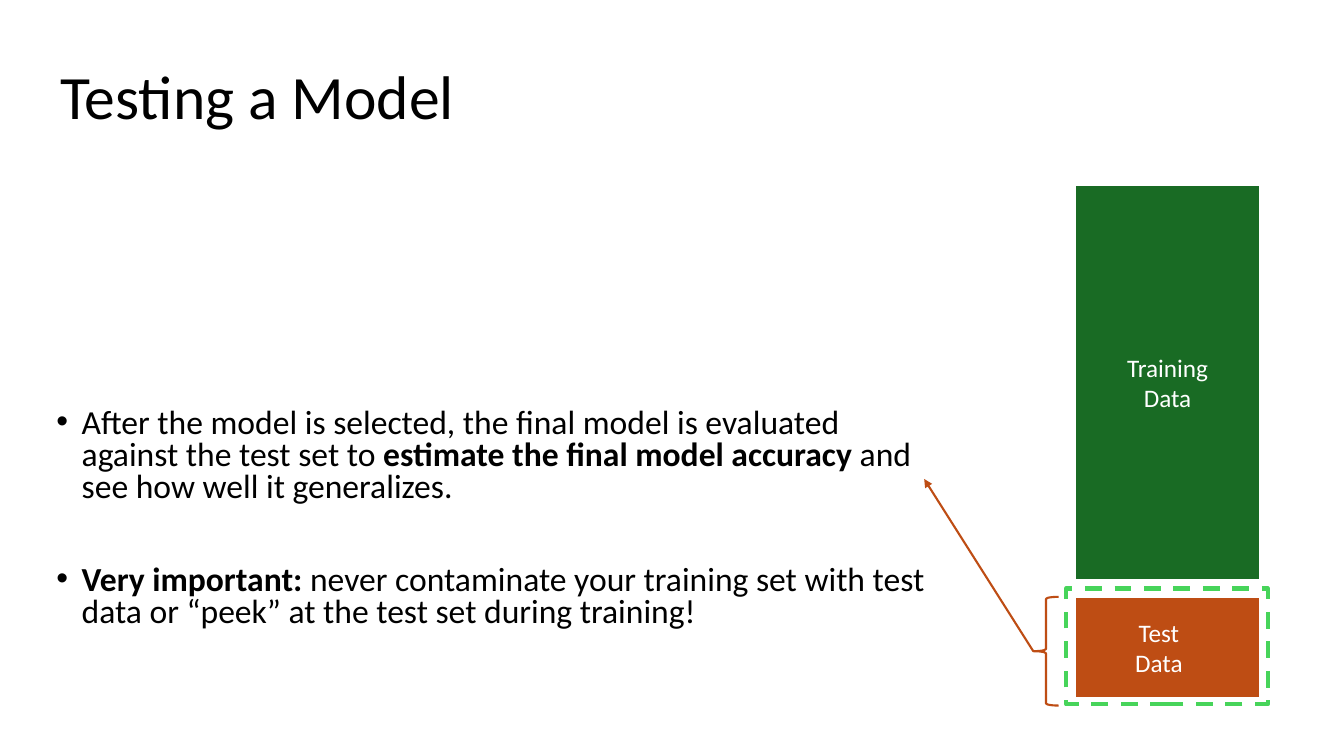
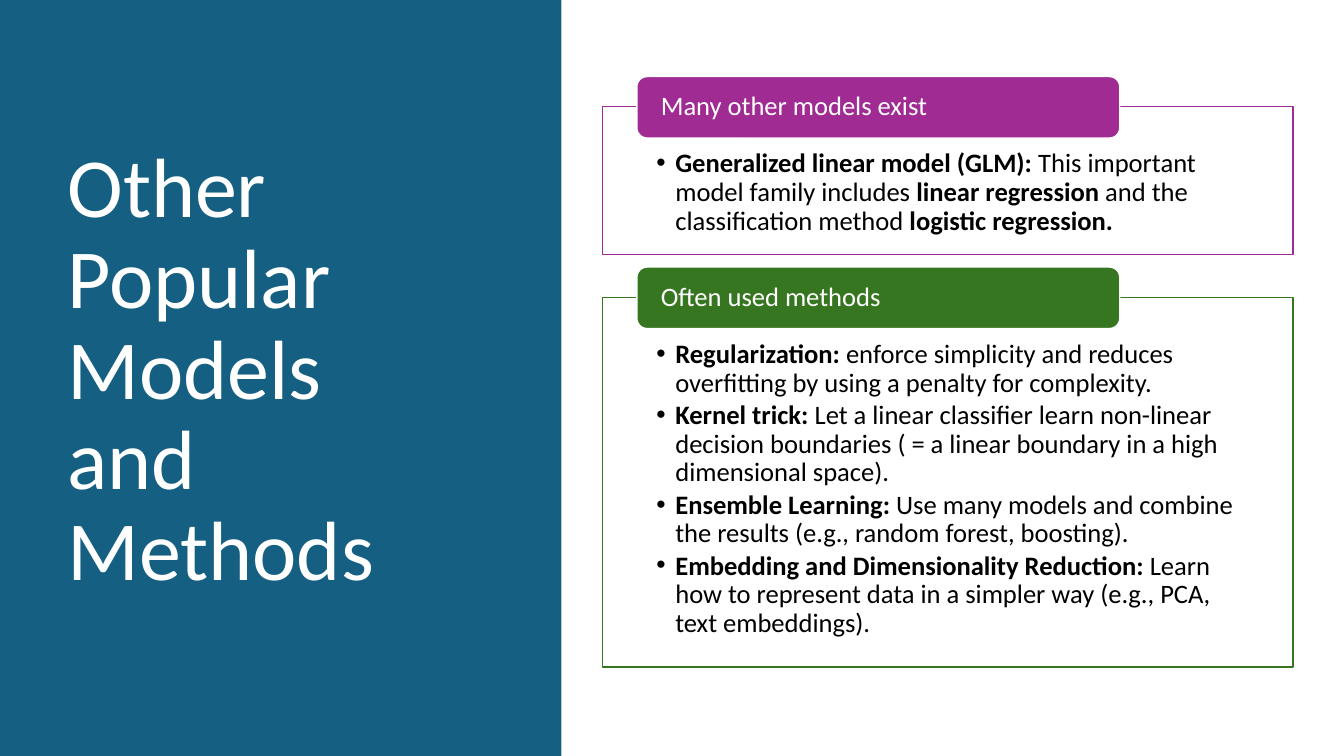
"""Build two slides on testing a model and on other popular methods."""
from dataclasses import dataclass
from typing import Optional

from lxml import etree
from pptx import Presentation
from pptx import util as u
from pptx.dml.color import RGBColor
from pptx.enum import dml, shapes, text
from pptx.oxml import ns


@dataclass(frozen=True)
class Theme:
    font: str = "Calibri"
    black: str = "000000"
    white: str = "FFFFFF"
    blue: str = "156082"
    forest: str = "196B24"
    rust: str = "BE4D14"
    lime: str = "47D45A"
    purple: str = "A02B93"
    green: str = "377620"
    title: int = 44
    side_title: int = 60
    body: int = 24
    label: int = 18
    panel: int = 19


@dataclass(frozen=True)
class Box:
    left: float
    top: float
    width: float
    height: float

    def emu(self) -> tuple:
        return tuple(u.Cm(v) for v in (self.left, self.top, self.width, self.height))


@dataclass(frozen=True)
class Style:
    size: float
    color: str
    align: text.PP_ALIGN = text.PP_ALIGN.LEFT
    anchor: text.MSO_ANCHOR = text.MSO_ANCHOR.MIDDLE
    spacing: float = 1.0
    before: float = 0
    after: float = 0
    indent: float = 0
    insets: tuple = (0.25, 0.13, 0.25, 0.13)


@dataclass(frozen=True)
class DataBlock:
    box: Box
    color: str
    lines: tuple
    right_inset: float


@dataclass(frozen=True)
class Panel:
    top: float
    height: float
    color: str
    heading: str
    items: tuple


T = Theme()
RECT = shapes.MSO_SHAPE.RECTANGLE
WIDTH, HEIGHT = 33.87, 19.05
TOP = text.MSO_ANCHOR.TOP

TITLE = Style(T.title, T.white, spacing=0.9)
BODY = Style(T.body, T.black, anchor=TOP, spacing=0.8, before=43, indent=0.64)
PANEL_TEXT = Style(T.panel, T.black, anchor=TOP, spacing=0.9, after=2.5,
                   indent=0.48, insets=(1.35, 1.09, 1.35, 0.38))
PANEL_HEADING = Style(T.panel, T.white, spacing=0.9, insets=(0.53, 0, 0.53, 0))

BLOCKS = (
    DataBlock(Box(27.1, 4.65, 4.65, 9.98), T.forest, ("Training", "Data"), 0.25),
    DataBlock(Box(27.1, 15.04, 4.65, 2.54), T.rust, ("Test", "Data"), 0.69),
)
ADVICE = (
    "After the model is selected, the final model is evaluated against the test set to "
    "**estimate the final model accuracy **and see how well it generalizes.",
    "**Very important: **never contaminate your training set with test data or “peek” "
    "at the test set during training!",
)
PANELS = (
    Panel(2.69, 3.73, T.purple, "Many other models exist", (
        "**Generalized linear model (GLM): **This important model family includes "
        "**linear regression **and the classification method **logistic regression.**",
    )),
    Panel(7.49, 9.32, T.green, "Often used methods", (
        "**Regularization: **enforce simplicity and reduces overfitting by using a "
        "penalty for complexity.",
        "**Kernel trick: **Let a linear classifier learn non-linear decision boundaries "
        "( = a linear boundary in a high dimensional space).",
        "**Ensemble Learning: **Use many models and combine the results "
        "(e.g., random forest, boosting).",
        "**Embedding and Dimensionality Reduction: **Learn how to represent data in a "
        "simpler way (e.g., PCA, text embeddings).",
    )),
)


def rgb(color: str) -> RGBColor:
    return RGBColor.from_string(color)


def add_bullet(p, indent: float) -> None:
    pPr = p._p.get_or_add_pPr()
    pPr.set("marL", str(u.Cm(indent)))
    pPr.set("indent", str(-u.Cm(indent)))
    etree.SubElement(pPr, ns.qn("a:buFont"), typeface="Arial")
    etree.SubElement(pPr, ns.qn("a:buChar"), char="•")


def write(sp, lines: tuple, style: Style) -> None:
    tf = sp.text_frame
    tf.word_wrap = True
    tf.vertical_anchor = style.anchor
    tf.margin_left, tf.margin_top, tf.margin_right, tf.margin_bottom = (
        u.Cm(v) for v in style.insets)
    for i, line in enumerate(lines):
        p = tf.add_paragraph() if i else tf.paragraphs[0]
        if style.indent:
            add_bullet(p, style.indent)
        p.alignment = style.align
        p.line_spacing = style.spacing
        p.space_before = u.Pt(style.before if i else 0)
        p.space_after = u.Pt(style.after)
        for j, part in enumerate(line.split("**")):
            if part:
                r = p.add_run()
                r.text = part
                r.font.name = T.font
                r.font.size = u.Pt(style.size)
                r.font.bold = j % 2 == 1
                r.font.color.rgb = rgb(style.color)


def add_text(s, box: Box, lines: tuple, style: Style) -> None:
    write(s.shapes.add_textbox(*box.emu()), lines, style)


def add_title(s, box: Box, title: str, size: int, color: str) -> None:
    add_text(s, box, (title,), Style(size, color, spacing=TITLE.spacing))


def add_box(s, box: Box, fill: Optional[str] = None, line: Optional[str] = None,
            weight: float = 1, kind: shapes.MSO_SHAPE = RECT):
    sp = s.shapes.add_shape(kind, *box.emu())
    sp.shadow.inherit = False
    if fill:
        sp.fill.solid()
        sp.fill.fore_color.rgb = rgb(fill)
    else:
        sp.fill.background()
    if line:
        sp.line.color.rgb = rgb(line)
        sp.line.width = u.Pt(weight)
    else:
        sp.line.fill.background()
    return sp


def add_arrow(s, start, site: int, x: float, y: float, color: str) -> None:
    sp = s.shapes.add_connector(shapes.MSO_CONNECTOR.STRAIGHT, 0, 0, u.Cm(x), u.Cm(y))
    sp.begin_connect(start, site)
    sp.line.color.rgb = rgb(color)
    sp.line.width = u.Pt(1.5)
    etree.SubElement(sp.line._get_or_add_ln(), ns.qn("a:tailEnd"), type="triangle")
    etree.SubElement(sp._element.spPr, ns.qn("a:effectLst"))


def add_block(s, block: DataBlock) -> None:
    sp = add_box(s, block.box, block.color, T.white, 1.5)
    write(sp, block.lines, Style(T.label, T.white, text.PP_ALIGN.CENTER,
                                 insets=(0.25, 0.13, block.right_inset, 0.13)))


def add_panel(s, panel: Panel) -> None:
    sp = add_box(s, Box(15.19, panel.top, 17.4, panel.height), T.white, panel.color)
    fill = sp._element.spPr.find(ns.qn("a:solidFill"))
    etree.SubElement(fill[0], ns.qn("a:alpha"), val="90000")
    write(sp, panel.items, PANEL_TEXT)
    tab = add_box(s, Box(16.05, panel.top - 0.76, 12.17, 1.55), panel.color, T.white,
                  kind=shapes.MSO_SHAPE.ROUNDED_RECTANGLE)
    write(tab, (panel.heading,), PANEL_HEADING)


def build_testing(s) -> None:
    add_title(s, Box(1.27, 0.66, 29.21, 3.68), "Testing a Model", T.title, T.black)
    add_text(s, Box(1.17, 10.16, 22.56, 6.55), ADVICE, BODY)
    for block in BLOCKS:
        add_block(s, block)
    frame = add_box(s, Box(26.87, 14.83, 5.08, 2.92), line=T.lime, weight=3)
    frame.line.dash_style = dml.MSO_LINE.DASH
    brace = add_box(s, Box(26.04, 15.04, 0.64, 2.74), line=T.rust, weight=1.5,
                    kind=shapes.MSO_SHAPE.LEFT_BRACE)
    add_arrow(s, brace, 1, 23.29, 12.07, T.rust)


def build_methods(s) -> None:
    add_box(s, Box(0, 0, 14.15, HEIGHT), T.blue)
    add_title(s, Box(1.45, 1.73, 10.57, 15.29), "Other Popular Models and Methods",
              T.side_title, T.white)
    for panel in PANELS:
        add_panel(s, panel)


def main() -> None:
    prs = Presentation()
    prs.slide_width, prs.slide_height = u.Cm(WIDTH), u.Cm(HEIGHT)
    for build in (build_testing, build_methods):
        build(prs.slides.add_slide(prs.slide_layouts[6]))
    prs.save("out.pptx")


if __name__ == "__main__":
    main()
